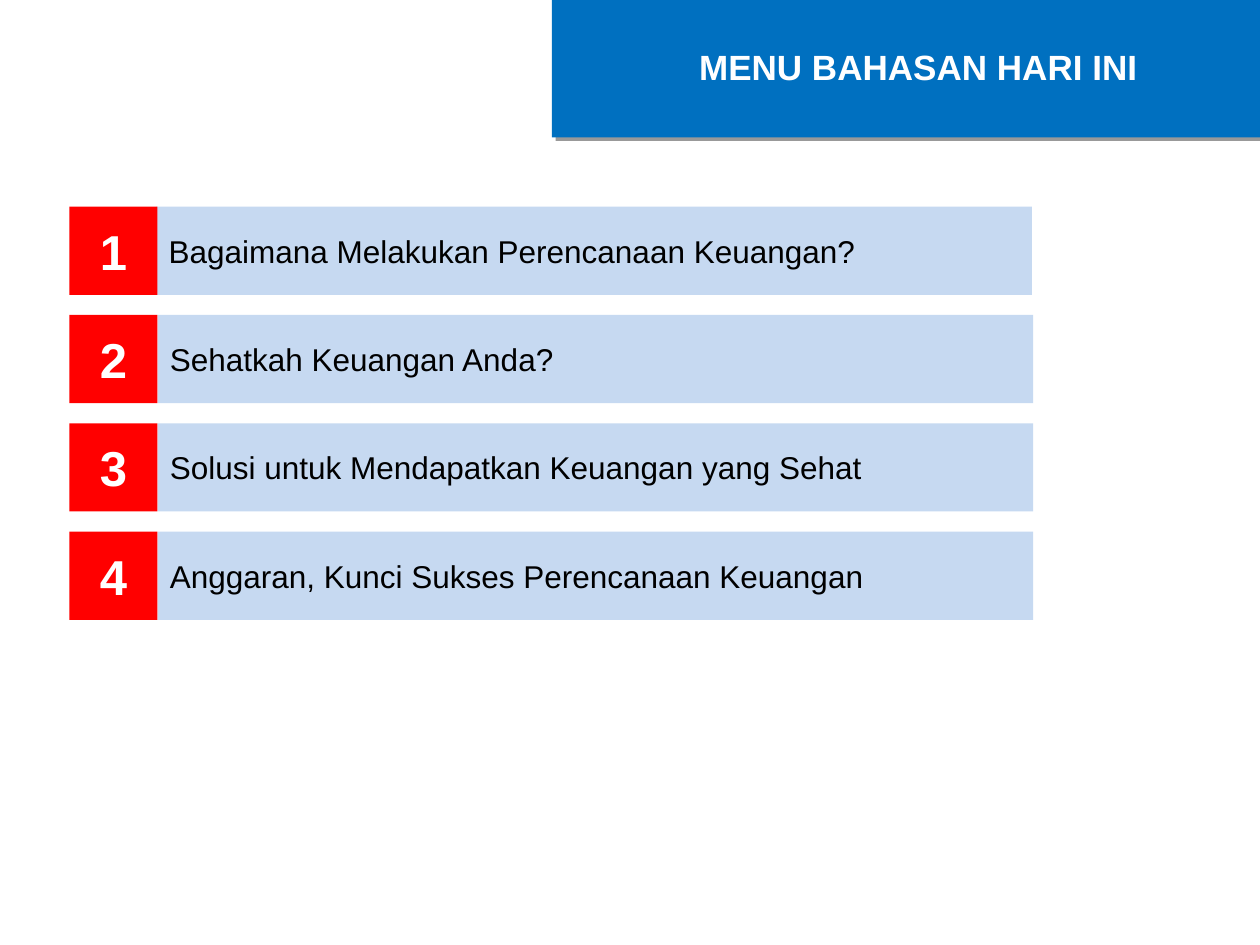
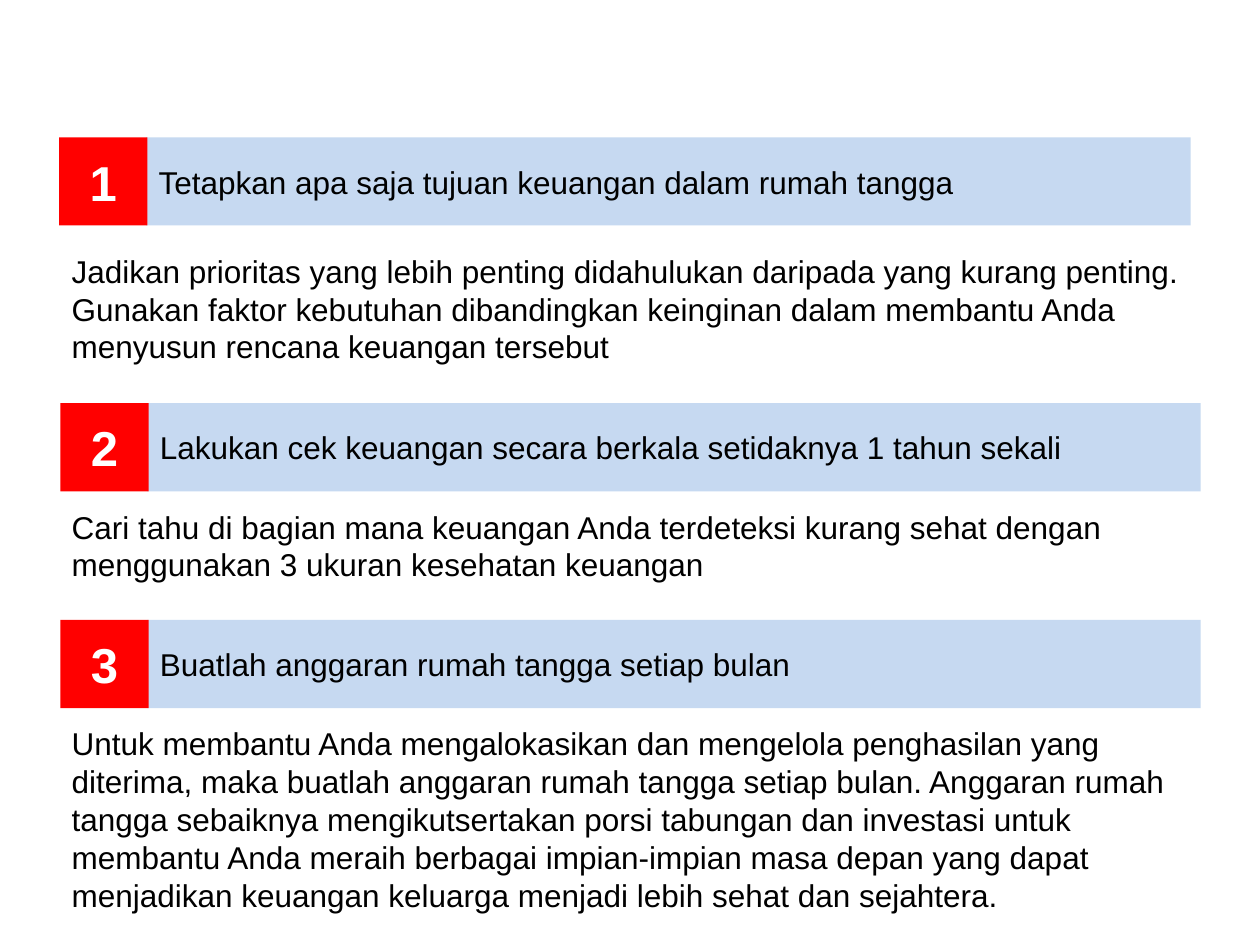
import pptx
import pptx.dml.color
import pptx.enum.shapes
import pptx.enum.text
import pptx.oxml
import pptx.oxml.ns
import pptx.util

SCALE = 9144
FONT = "Arial"
BADGE = 70
COLORS = {
    "header": "0070C0",
    "band": "C6D9F1",
    "badge": "FF0000",
    "light": "FFFFFF",
    "dark": "000000",
}

AGENDA_TOP = 164
AGENDA_STEP = 86
AGENDA = [
    ("Bagaimana Melakukan Perencanaan Keuangan?", 124),
    ("Sehatkah Keuangan Anda?", 125),
    ("Solusi untuk Mendapatkan Keuangan yang Sehat", 125),
    ("Anggaran, Kunci Sukses Perencanaan Keuangan", 125),
]

STEPS = [
    {
        "heading": "Tetapkan apa saja tujuan keuangan dalam rumah tangga",
        "left": 47, "top": 109, "width": 829,
        "detail": "Jadikan prioritas yang lebih penting didahulukan daripada yang kurang penting. "
                  "Gunakan faktor kebutuhan dibandingkan keinginan dalam membantu Anda "
                  "menyusun rencana keuangan tersebut",
        "detail_top": 195, "detail_height": 100,
    },
    {
        "heading": "Lakukan cek keuangan secara berkala setidaknya 1 tahun sekali",
        "left": 48, "top": 320, "width": 836,
        "detail": "Cari tahu di bagian mana keuangan Anda terdeteksi kurang sehat dengan "
                  "menggunakan 3 ukuran kesehatan keuangan",
        "detail_top": 398, "detail_height": 70,
    },
    {
        "heading": "Buatlah anggaran rumah tangga setiap bulan",
        "left": 48, "top": 492, "width": 836,
        "detail": "Untuk membantu Anda mengalokasikan dan mengelola penghasilan yang "
                  "diterima, maka buatlah anggaran rumah tangga setiap bulan. Anggaran rumah "
                  "tangga sebaiknya mengikutsertakan porsi tabungan dan investasi untuk "
                  "membantu Anda meraih berbagai impian-impian masa depan yang dapat "
                  "menjadikan keuangan keluarga menjadi lebih sehat dan sejahtera.",
        "detail_top": 570, "detail_height": 160,
    },
]


def px(*lengths):
    return [pptx.util.Emu(length * SCALE) for length in lengths]


def color(name):
    return pptx.dml.color.RGBColor.from_string(COLORS[name])


def write(frame, text, size=18, ink="dark", bold=False, centered=False, middle=False, wrap=True):
    anchors = pptx.enum.text.MSO_ANCHOR
    aligns = pptx.enum.text.PP_ALIGN
    frame.word_wrap = wrap
    frame.vertical_anchor = anchors.MIDDLE if middle else anchors.TOP
    para = frame.paragraphs[0]
    para.alignment = aligns.CENTER if centered else aligns.LEFT
    span = para.add_run()
    span.text = text
    span.font.name = FONT
    span.font.size = pptx.util.Pt(size)
    span.font.bold = bold
    span.font.color.rgb = color(ink)


class Composer:
    def __init__(self, deck):
        self.deck = deck
        self.page = None

    def new_page(self):
        self.page = self.deck.slides.add_slide(self.deck.slide_layouts[6])

    def block(self, left, top, width, height, fill):
        shape = self.page.shapes.add_shape(
            pptx.enum.shapes.MSO_SHAPE.RECTANGLE, *px(left, top, width, height))
        shape.shadow.inherit = False
        shape.fill.solid()
        shape.fill.fore_color.rgb = color(fill)
        shape.line.fill.background()
        return shape

    def text(self, left, top, width, height, text, **style):
        box = self.page.shapes.add_textbox(*px(left, top, width, height))
        write(box.text_frame, text, **style)
        box.text_frame.auto_size = pptx.enum.text.MSO_AUTO_SIZE.SHAPE_TO_FIT_TEXT

    def header(self, title):
        panel = self.block(438, 0, 562, 109, "header")
        effects = panel.fill._xPr.find(pptx.oxml.ns.qn("a:effectLst"))
        effects.append(pptx.oxml.parse_xml(
            f'<a:outerShdw {pptx.oxml.ns.nsdecls("a")} blurRad="0" dist="38100" dir="2700000" '
            f'algn="tl" rotWithShape="0"><a:srgbClr val="{COLORS["dark"]}">'
            '<a:alpha val="40000"/></a:srgbClr></a:outerShdw>'))
        self.text(545, 31, 368, 44, title, size=20, ink="light", bold=True, wrap=False)

    def numbered_band(self, number, heading, badge_left, band_left, top, width):
        band = self.block(band_left, top, width, BADGE, "band")
        write(band.text_frame, heading, middle=True)
        badge = self.block(badge_left, top, BADGE, BADGE, "badge")
        write(badge.text_frame, str(number), size=28, ink="light", bold=True,
              centered=True, middle=True)


def main():
    deck = pptx.Presentation()
    deck.slide_width, deck.slide_height = px(1000, 750)
    composer = Composer(deck)

    composer.new_page()
    composer.header("MENU BAHASAN HARI INI")
    for index, (topic, band_left) in enumerate(AGENDA):
        composer.numbered_band(index + 1, topic, 55, band_left,
                               AGENDA_TOP + index * AGENDA_STEP, 695)

    composer.new_page()
    for number, step in enumerate(STEPS, start=1):
        composer.numbered_band(number, step["heading"], step["left"],
                               step["left"] + BADGE - 1, step["top"], step["width"])
        composer.text(47, step["detail_top"], 906, step["detail_height"], step["detail"])

    deck.save("out.pptx")


if __name__ == "__main__":
    main()
